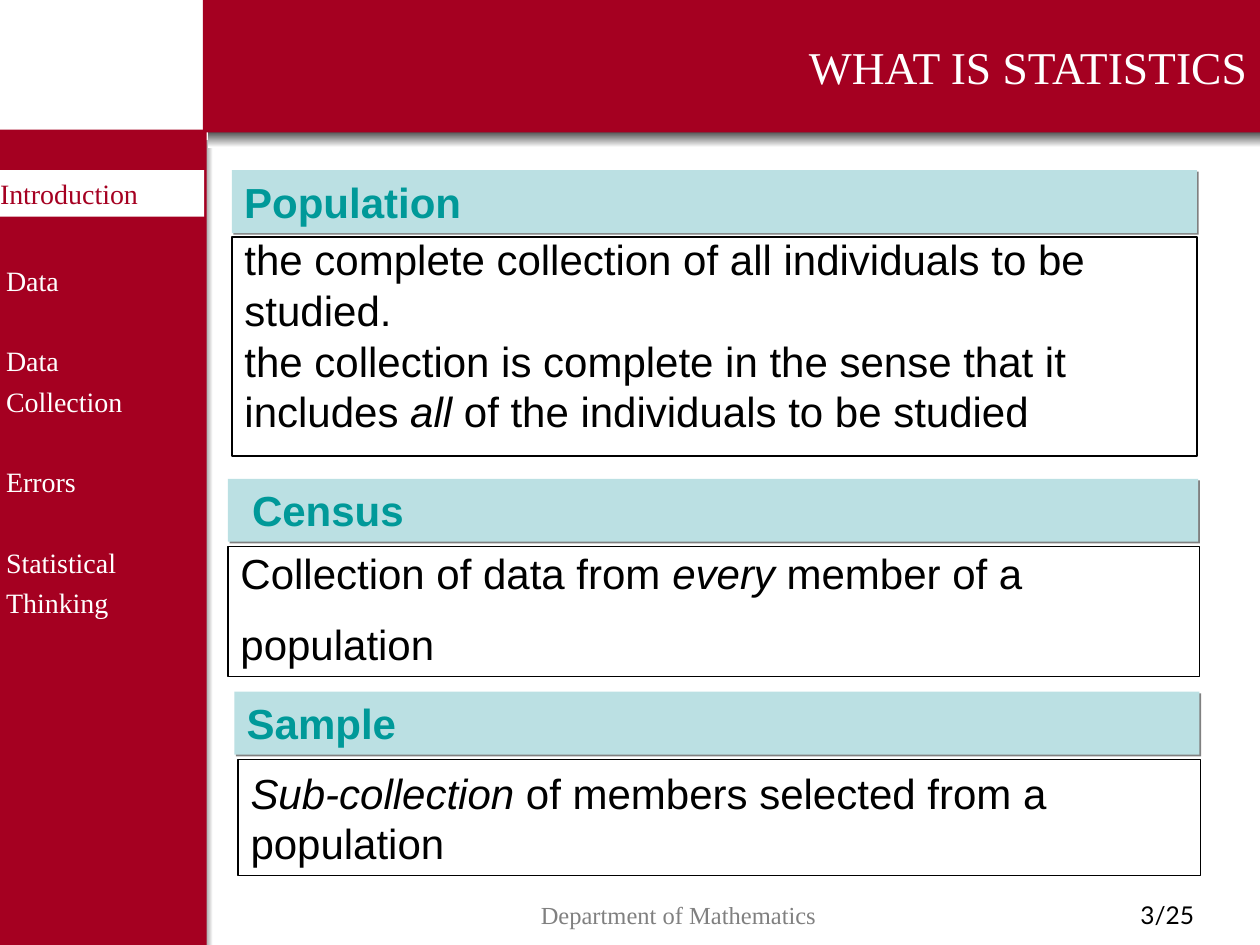
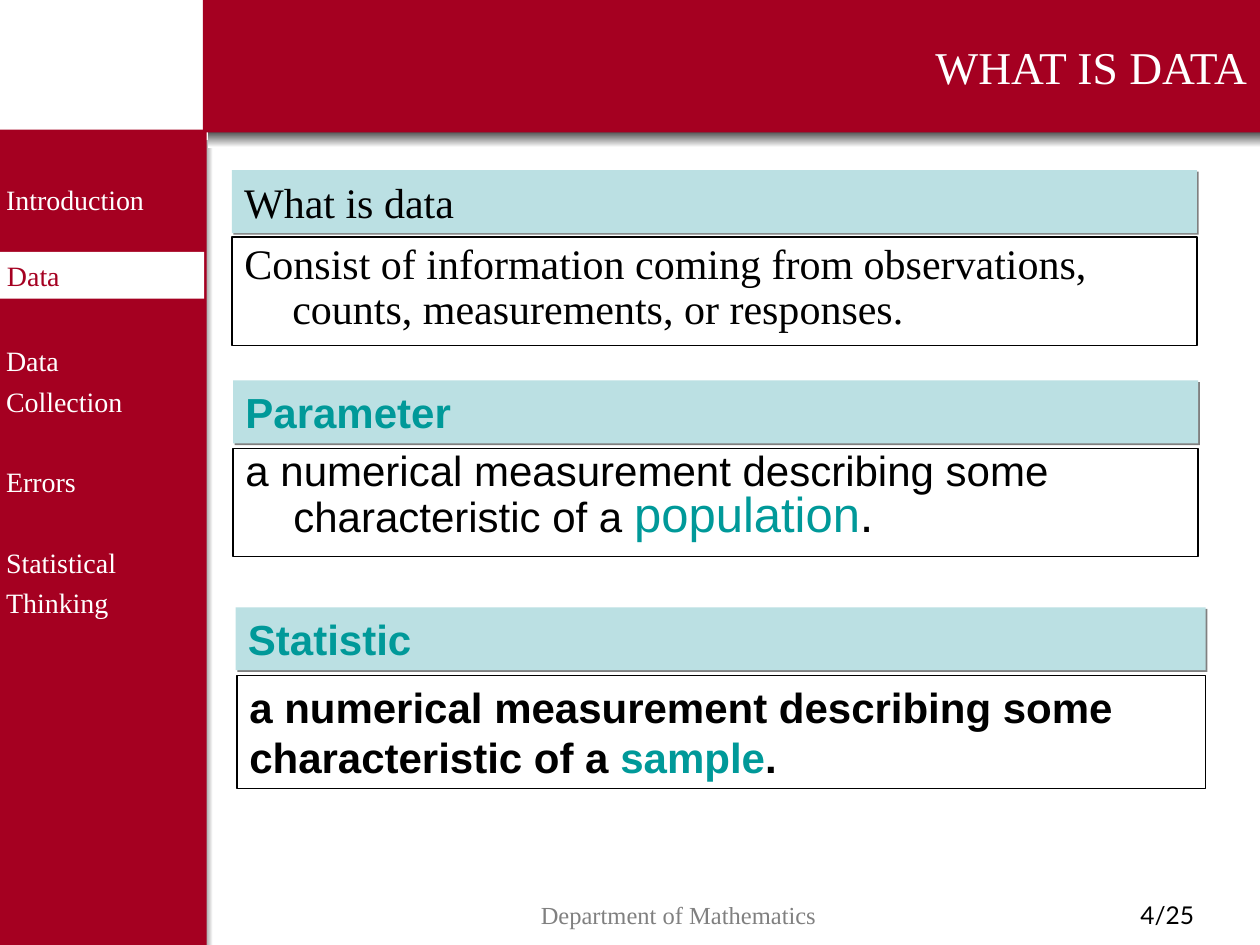
from lxml.etree import SubElement
from pptx import Presentation
from pptx.dml.color import RGBColor
from pptx.enum.shapes import MSO_SHAPE
from pptx.enum.text import MSO_ANCHOR, MSO_AUTO_SIZE, PP_ALIGN
from pptx.oxml.ns import qn
from pptx.util import Inches, Pt

RED, WHITE, BLACK, GREY = "A50021", "FFFFFF", "000000", "808080"
TEAL, PALE_TEAL = "009999", "BBE0E3"
SERIF, SANS, NUMBER_FONT = "Times New Roman", "Arial", "Lato"
TOPICS = ["Introduction", "Data", "Data Collection", "Errors", "Statistical Thinking"]
PAGE_COUNT = 25

SERIF_BODY = {"name": SERIF, "size": 24, "color": BLACK}
SANS_BODY = {"name": SANS, "size": 24, "color": BLACK}
TERM = {"name": SANS, "size": 24, "color": TEAL, "bold": True}
MENU = {"name": SERIF, "size": 16, "color": WHITE}
ITALIC = {"italic": True}


def rgb(color):
    return RGBColor.from_string(color)


def format_span(span, values):
    for name, value in values.items():
        if name == "color":
            span.font.color.rgb = rgb(value)
        else:
            setattr(span.font, name, Pt(value) if name == "size" else value)


def format_paragraph(para, layout, hanging):
    for name, value in {"alignment": PP_ALIGN.LEFT, **layout}.items():
        setattr(para, name, value)
    properties = para._p.get_or_add_pPr()
    properties.set("marL", str(Inches(hanging)))
    properties.set("indent", str(-Inches(hanging)))
    SubElement(properties, qn("a:buNone"))


def write_text(box, paragraphs, style, layout=None, hanging=0, anchor=MSO_ANCHOR.TOP, side=0.1):
    frame = box.text_frame
    settings = {
        "word_wrap": True,
        "auto_size": MSO_AUTO_SIZE.NONE,
        "vertical_anchor": anchor,
        "margin_left": Inches(side),
        "margin_right": Inches(side),
        "margin_top": Inches(0.05),
        "margin_bottom": Inches(0.05),
    }
    for name, value in settings.items():
        setattr(frame, name, value)
    for index, spans in enumerate(paragraphs):
        para = frame.add_paragraph() if index else frame.paragraphs[0]
        format_paragraph(para, layout or {}, hanging)
        for text, changes in spans:
            span = para.add_run()
            span.text = text
            format_span(span, {**style, **changes})


def place(box, left, top, width, height):
    for name, value in zip(("left", "top", "width", "height"), (left, top, width, height)):
        setattr(box, name, Inches(value))


def paint(box, fill=None, line=None):
    if fill:
        box.fill.solid()
        box.fill.fore_color.rgb = rgb(fill)
    else:
        box.fill.background()
    if line:
        box.line.color.rgb = rgb(line)
        box.line.width = Pt(0.75)
    else:
        box.line.fill.background()


def add_box(page, area, fill=None, line=None):
    box = page.shapes.add_shape(MSO_SHAPE.RECTANGLE, *map(Inches, area))
    box.shadow.inherit = False
    paint(box, fill, line)
    return box


def add_fade(page, area, angle):
    box = add_box(page, area)
    box.fill.gradient()
    box.fill.gradient_angle = angle
    for stop, color in zip(box.fill.gradient_stops, (BLACK, WHITE)):
        stop.color.rgb = rgb(color)


def add_drop_shadow(box):
    effects = box._element.spPr.find(qn("a:effectLst"))
    shadow = SubElement(effects, qn("a:outerShdw"), dist=str(Pt(1.4)), dir="2700000", algn="ctr")
    SubElement(shadow, qn("a:srgbClr"), val=GREY)


def add_heading(page, left, top, width, spans, style=TERM):
    box = add_box(page, (left, top, width, 0.5), PALE_TEAL)
    add_drop_shadow(box)
    write_text(box, [spans], style)


def add_definition(page, area, paragraphs, style=SANS_BODY, **options):
    write_text(add_box(page, area, line=BLACK), paragraphs, style, **options)


def fill_body(page, area, paragraphs, style, layout):
    body = page.placeholders[1]
    place(body, *area)
    paint(body, line=BLACK)
    write_text(body, paragraphs, style, layout, hanging=0.38)


def add_label(page, area, text, style):
    box = page.shapes.add_textbox(*map(Inches, area))
    write_text(box, [[(text, {})]], style, {"alignment": PP_ALIGN.CENTER})


def add_menu(page):
    box = page.shapes.add_textbox(*map(Inches, (-0.05, 1.35, 1.54, 4.2)))
    layout = {"line_spacing": 1.2, "space_before": Pt(23)}
    write_text(box, [[(topic, {})] for topic in TOPICS], MENU, layout)


def add_menu_highlight(page, top, text):
    box = add_box(page, (0, top, 1.62, 0.37), WHITE)
    write_text(box, [[(text, {})]], {**MENU, "color": RED}, side=0)


def add_title(page, text):
    title = page.shapes.title
    place(title, 1.61, 0, 8.39, 1.05)
    paint(title, RED)
    style = {"name": SERIF, "size": 26, "color": WHITE}
    write_text(title, [[(text, {})]], style, {"alignment": PP_ALIGN.RIGHT}, anchor=MSO_ANCHOR.MIDDLE)
    title._element.getparent().append(title._element)


def add_page(deck, number, title):
    page = deck.slides.add_slide(deck.slide_layouts[1])
    add_fade(page, (1.54, 1.11, 0.15, 6.39), 0)
    add_box(page, (0, 1.03, 1.64, 6.47), RED)
    add_fade(page, (1.65, 0.99, 8.35, 0.18), 270)
    add_menu(page)
    number_style = {"name": NUMBER_FONT, "size": 14, "color": BLACK}
    footer_style = {"name": SERIF, "size": 14, "color": GREY}
    add_label(page, (8.53, 7.09, 1.47, 0.4), f"{number}/{PAGE_COUNT}", number_style)
    add_label(page, (2.34, 7.09, 6.09, 0.4), "Department of Mathematics", footer_style)
    add_title(page, title)
    return page


def build_statistics_page(deck):
    page = add_page(deck, 3, "WHAT IS STATISTICS")
    add_heading(page, 1.84, 1.35, 7.66, [("Population", {})])
    fill_body(page, (1.84, 1.88, 7.66, 1.74), [
        [("the complete collection of all individuals to be", {})],
        [("studied.", {})],
        [("the collection is complete in the sense that it", {})],
        [("includes ", {}), ("all", ITALIC), (" of the individuals to be studied", {})],
    ], SANS_BODY, {"line_spacing": 0.8, "space_before": Pt(6)})
    add_heading(page, 1.81, 3.8, 7.7, [(" ", {"bold": False}), ("Census", {})])
    add_definition(page, (1.81, 4.34, 7.71, 1.03), [
        [("Collection of data from ", {}), ("every", ITALIC), (" member of a", {})],
        [("population", {})],
    ], layout={"line_spacing": 0.9, "space_before": Pt(15)})
    add_heading(page, 1.86, 5.49, 7.66, [("Sample", {})])
    add_definition(page, (1.89, 6.03, 7.64, 0.92), [
        [("Sub-collection", ITALIC), (" of members selected from a", {})],
        [("population", {})],
    ], anchor=MSO_ANCHOR.MIDDLE)
    add_menu_highlight(page, 1.35, "Introduction")


def build_data_page(deck):
    page = add_page(deck, 4, "WHAT IS DATA")
    measurement = "a numerical measurement describing some characteristic of a "
    add_heading(page, 1.84, 1.35, 7.66, [("What is data", {})], SERIF_BODY)
    fill_body(page, (1.84, 1.88, 7.66, 0.86), [
        [("Consist of information coming from observations, counts, measurements, or responses.", {})],
    ], SERIF_BODY, {"line_spacing": 0.9, "space_before": Pt(6)})
    add_heading(page, 1.85, 3.02, 7.66, [("Parameter", {})])
    add_definition(page, (1.85, 3.56, 7.66, 0.86), [
        [(measurement, {}), ("population", {"size": 28, "color": TEAL}), (".", {"size": 28})],
    ], layout={"line_spacing": 0.8, "space_before": Pt(7)}, hanging=0.38)
    add_heading(page, 1.87, 4.82, 7.7, [("Statistic", {})])
    add_definition(page, (1.88, 5.36, 7.69, 0.9), [
        [(measurement, {}), ("sample", {"color": TEAL}), (".", {})],
    ], {**SANS_BODY, "bold": True}, layout={"space_before": Pt(6)})
    add_menu_highlight(page, 2, " Data")


def main():
    deck = Presentation()
    deck.slide_width, deck.slide_height = Inches(10), Inches(7.5)
    build_statistics_page(deck)
    build_data_page(deck)
    deck.save("out.pptx")


if __name__ == "__main__":
    main()
